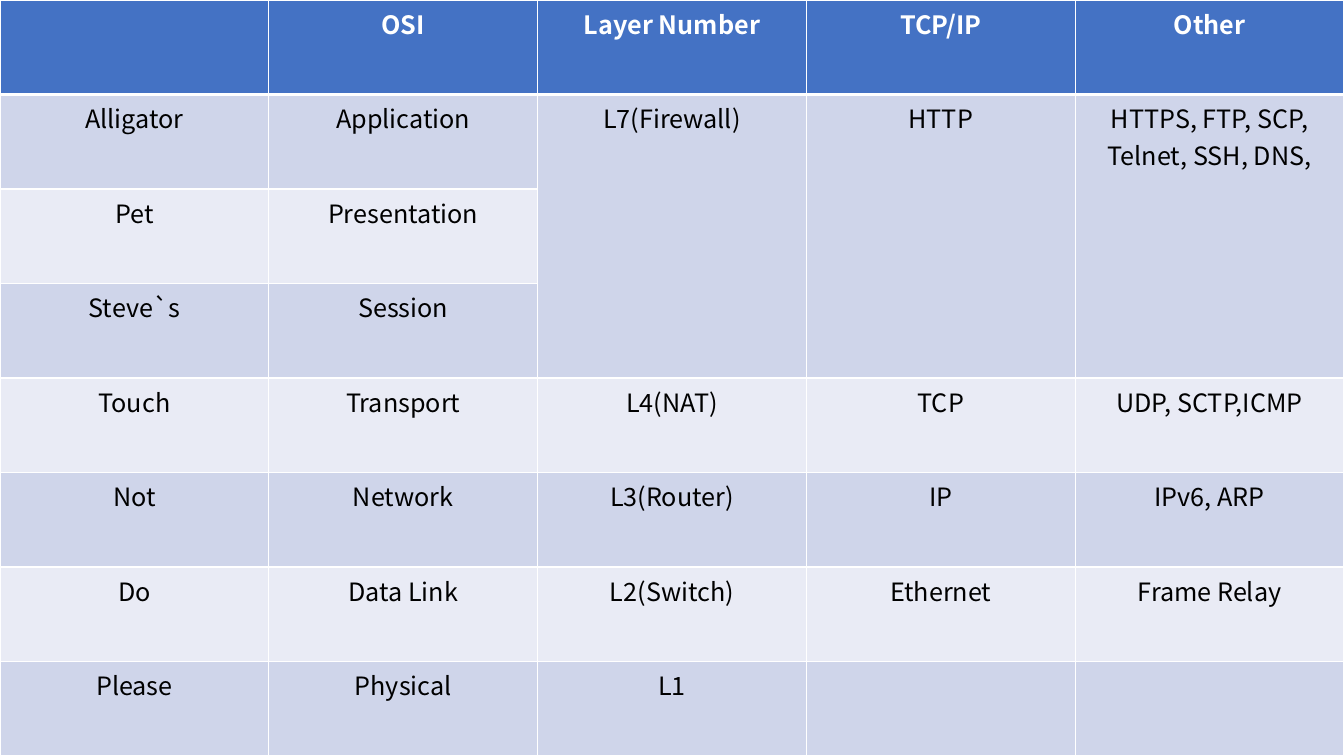
"""Build a slide with a full-page table of the OSI network layers."""
from lxml import etree
from pptx import Presentation
from pptx.dml.color import RGBColor
from pptx.enum import text
from pptx.oxml import ns
from pptx.util import Cm, Pt

FONT = "Noto Sans CJK KR"
WHITE = RGBColor(0xFF, 0xFF, 0xFF)
BLACK = RGBColor(0, 0, 0)
BLUE = RGBColor(0x44, 0x72, 0xC4)
BAND_DARK = RGBColor(0xCF, 0xD5, 0xEA)
BAND_LIGHT = RGBColor(0xE9, 0xEB, 0xF5)

LAYERS = [
    ["", "OSI", "Layer Number", "TCP/IP", "Other"],
    ["Alligator", "Application", "L7(Firewall)", "HTTP",
     "HTTPS, FTP, SCP, Telnet, SSH, DNS,"],
    ["Pet", "Presentation", "", "", ""],
    ["Steve`s", "Session", "", "", ""],
    ["Touch", "Transport", "L4(NAT)", "TCP", "UDP, SCTP,ICMP"],
    ["Not", "Network", "L3(Router)", "IP", "IPv6, ARP"],
    ["Do", "Data Link", "L2(Switch)", "Ethernet", "Frame Relay"],
    ["Please", "Physical", "L1", "", ""],
]
MERGED_ROWS = (1, 3)
MERGED_COLS = (2, 3, 4)


def set_borders(cell, widths):
    """Draw solid borders, given as points by side letter, in white."""
    tc_pr = cell._tc.get_or_add_tcPr()
    for side, width in widths.items():
        ln = etree.SubElement(tc_pr, ns.qn(f"a:ln{side}"), w=str(Pt(width)))
        fill = etree.SubElement(ln, ns.qn("a:solidFill"))
        etree.SubElement(fill, ns.qn("a:srgbClr"), val=str(WHITE))


def style_cell(cell, row, content):
    """Fill, outline and write one cell according to its row."""
    header = row == 0
    set_borders(cell, {"L": 1, "R": 1, "T": 3 if row == 1 else 1,
                       "B": 3 if header else 1})
    cell.fill.solid()
    band = BAND_DARK if row % 2 else BAND_LIGHT
    cell.fill.fore_color.rgb = BLUE if header else band
    cell.text = content
    p = cell.text_frame.paragraphs[0]
    p.alignment = text.PP_ALIGN.CENTER
    p.font.name = FONT
    p.font.size = Pt(18)
    p.font.bold = header
    p.font.color.rgb = WHITE if header else BLACK


def add_layer_table(s, left, top, width, height):
    """Add the table of layers, evenly divided over the given box."""
    rows, cols = len(LAYERS), len(LAYERS[0])
    table = s.shapes.add_table(rows, cols, left, top, width, height).table
    for column in table.columns:
        column.width = width // cols
    for row, contents in enumerate(LAYERS):
        table.rows[row].height = height // rows
        for col, content in enumerate(contents):
            style_cell(table.cell(row, col), row, content)
    first, last = MERGED_ROWS
    for col in MERGED_COLS:
        table.cell(first, col).merge(table.cell(last, col))


def main():
    """Create the presentation and save it."""
    prs = Presentation()
    prs.slide_width, prs.slide_height = Cm(33.87), Cm(19.05)
    s = prs.slides.add_slide(prs.slide_layouts[6])
    add_layer_table(s, Cm(0), Cm(0), prs.slide_width, prs.slide_height)
    prs.save("out.pptx")


if __name__ == "__main__":
    main()
